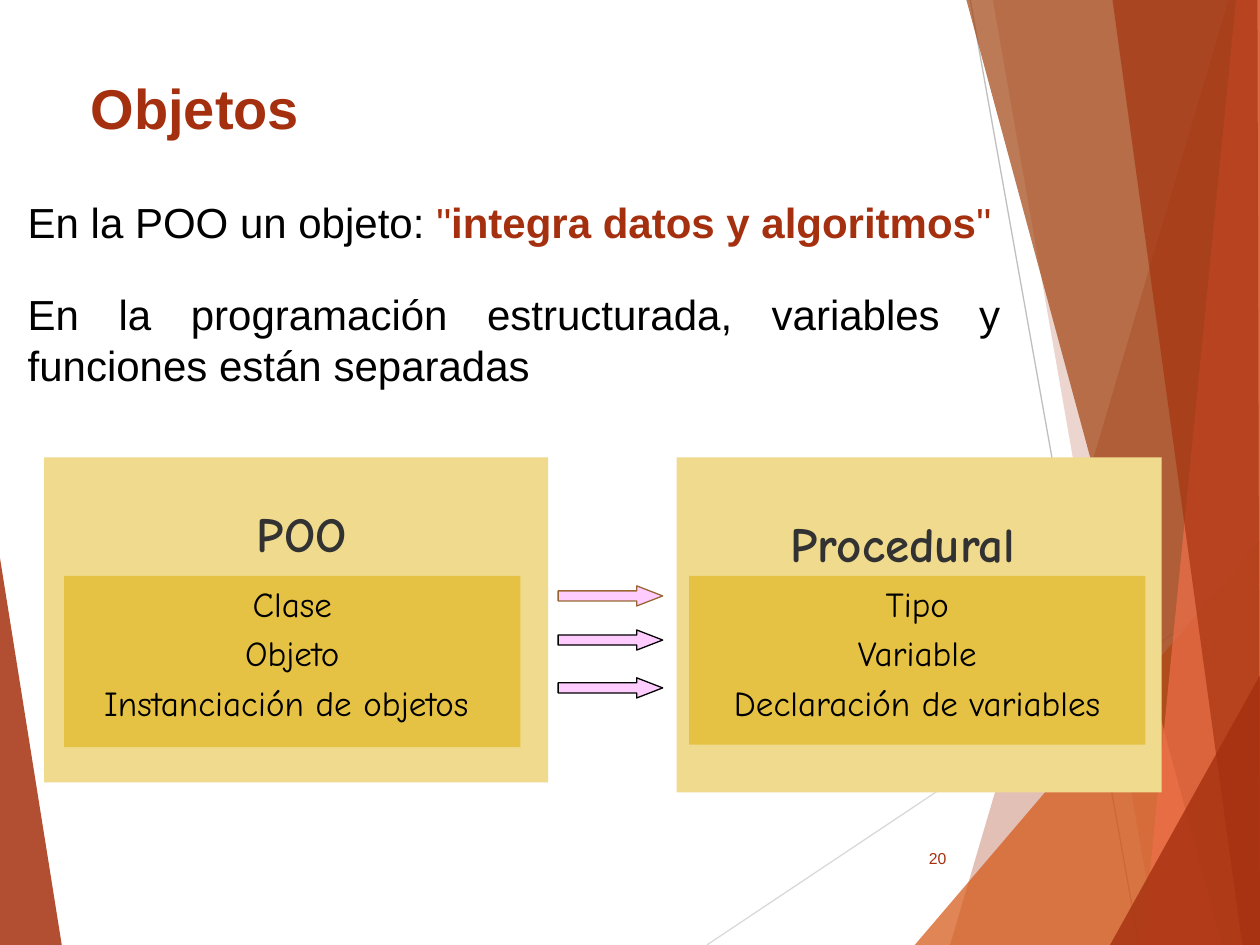
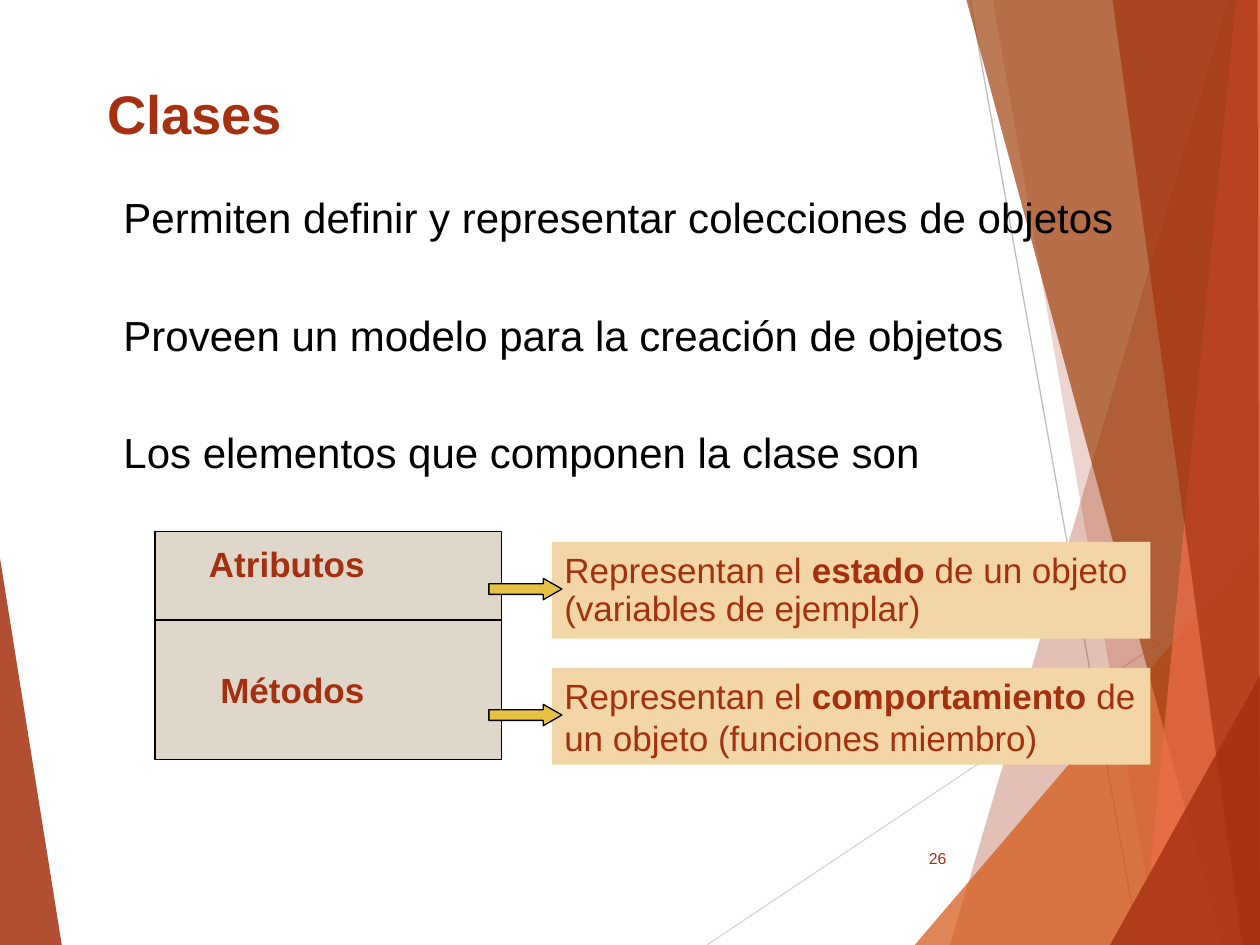
from lxml import etree
from pptx import Presentation
from pptx.dml.color import RGBColor
from pptx.enum.shapes import MSO_CONNECTOR, MSO_SHAPE
from pptx.enum.text import MSO_ANCHOR, MSO_AUTO_SIZE, PP_ALIGN
from pptx.oxml.ns import qn
from pptx.util import Inches, Pt

RECT, ARROW = MSO_SHAPE.RECTANGLE, MSO_SHAPE.RIGHT_ARROW
STRAIGHT = MSO_CONNECTOR.STRAIGHT
TOP, MIDDLE = MSO_ANCHOR.TOP, MSO_ANCHOR.MIDDLE
LEFT, CENTER, RIGHT, JUSTIFY = PP_ALIGN.LEFT, PP_ALIGN.CENTER, PP_ALIGN.RIGHT, PP_ALIGN.JUSTIFY
NO_FIT = MSO_AUTO_SIZE.NONE

COLORS = {
    "red": "A5300F", "orange": "D55816", "brown": "A04210", "coral": "EE6E4A",
    "light_gray": "D9D9D9", "gray": "BFBFBF", "black": "000000", "dark": "323232",
    "panel": "EFDA8E", "gold": "E5C243", "pink": "FFCCFF", "arrow_edge": "996633",
    "class_box": "E0D7CB", "note": "F3D6A8",
}
SANS, COMIC = "Arial", "Comic Neue"
LINE_FACTOR = 1.21

RAYS = [("light_gray", (5.61, 7.5), (10, 4.57)), ("gray", (7.7, 0), (9.04, 7.5))]
FACETS = [
    ("red", 85, [(0, 4.43), (0.49, 7.5), (0, 7.5)]),
    ("red", 30, [(9.75, 0), (7.54, 7.5), (10, 7.5), (10, 0)]),
    ("red", 20, [(7.88, 0), (9.19, 7.5), (10, 7.5), (10, 0)]),
    ("orange", 72, [(7.26, 7.5), (10, 4.29), (10, 7.5)]),
    ("brown", 70, [(7.67, 0), (9.7, 7.5), (10, 7.5), (10, 0)]),
    ("coral", 70, [(9.81, 0), (9.07, 7.5), (10, 7.5), (10, 0)]),
    ("red", 65, [(8.83, 0), (9.86, 7.5), (10, 7.5), (9.98, 0)]),
    ("red", 80, [(8.81, 7.5), (10, 5.36), (10, 7.5)]),
]


def rgb(name):
    return RGBColor.from_string(COLORS[name])


def place(shape, x, y, w, h):
    shape.left, shape.top, shape.width, shape.height = map(Inches, (x, y, w, h))


def write(shape, paragraphs, size=20, color="red", font=SANS, bold=False,
          align=LEFT, anchor=TOP, before=0):
    tf = shape.text_frame
    tf.word_wrap = True
    tf.auto_size = NO_FIT
    tf.vertical_anchor = anchor
    for i, runs in enumerate(paragraphs):
        p = tf.add_paragraph() if i else tf.paragraphs[0]
        pPr = p._p.get_or_add_pPr()
        pPr.set("marL", "0")
        pPr.set("indent", "0")
        etree.SubElement(pPr, qn("a:buNone"))
        p.alignment = align
        p.line_spacing = Pt(size * LINE_FACTOR)
        p.space_before = Pt(before if i else 0)
        for run in [runs] if isinstance(runs, str) else runs:
            text, run_color, run_bold = (run, color, bold) if isinstance(run, str) else run
            r = p.add_run()
            r.text = text
            r.font.name = font
            r.font.size = Pt(size)
            r.font.bold = run_bold
            r.font.color.rgb = rgb(run_color)
    return tf


def add_label(s, text, box, **fmt):
    tb = s.shapes.add_textbox(*map(Inches, box))
    write(tb, [text], **fmt)


def paint(shape, fill, line=None):
    shape.shadow.inherit = False
    shape.fill.solid()
    shape.fill.fore_color.rgb = rgb(fill)
    if line:
        shape.line.color.rgb = rgb(line)
        shape.line.width = Pt(0.75)
    else:
        shape.line.fill.background()


def add_box(s, box, fill, line=None):
    shape = s.shapes.add_shape(RECT, *map(Inches, box))
    paint(shape, fill, line)
    return shape


def add_arrow(s, box, head, fill, line):
    shape = s.shapes.add_shape(ARROW, *map(Inches, box))
    shape.adjustments[0] = 0.5
    shape.adjustments[1] = head
    paint(shape, fill, line)


def add_line(s, start, end, color):
    line = s.shapes.add_connector(STRAIGHT, *map(Inches, start + end))
    line.line.color.rgb = rgb(color)
    line.line.width = Pt(0.75)
    etree.SubElement(line._element.spPr, qn("a:effectLst"))
    return line


def add_facet(s, color, opacity, points):
    corners = [(Inches(x), Inches(y)) for x, y in points]
    builder = s.shapes.build_freeform(*corners[0])
    builder.add_line_segments(corners[1:], close=True)
    shape = builder.convert_to_shape()
    paint(shape, color)
    srgb = shape._element.spPr.find(".//" + qn("a:srgbClr"))
    etree.SubElement(srgb, qn("a:alpha"), val=str(opacity * 1000))
    return shape


def decorate_layout(layout, s):
    parts = [add_line(s, start, end, color) for color, start, end in RAYS]
    parts += [add_facet(s, *facet) for facet in FACETS]
    for number, part in enumerate(parts, 100):
        part._element.find(".//" + qn("p:cNvPr")).set("id", str(number))
        layout.shapes.element.append(part._element)


def add_content(s, title, title_at, title_size, number, body_box, paragraphs, before):
    place(s.shapes.title, *title_at, 8.75, 0.67)
    write(s.shapes.title, [title], size=title_size, bold=True)
    add_label(s, number, (7.05, 6.61, 0.56, 0.4), size=9, align=RIGHT, anchor=MIDDLE)
    body = s.placeholders[1]
    place(body, *body_box)
    write(body, paragraphs, size=24, color="black", align=JUSTIFY, before=before)


def add_panel(s, panel, list_box, heading, heading_at, items):
    add_box(s, panel, "panel")
    write(add_box(s, list_box, "gold"), items, color="black", font=COMIC,
          align=CENTER, before=4)
    add_label(s, heading, (*heading_at, 2.67, 0.57), size=28, color="dark",
              font=COMIC, bold=True, align=CENTER)


def build_objects(s):
    add_content(s, "Objetos", (0.62, 0.53), 32, "20", (0.12, 1.51, 7.92, 2.16), [
        ["En la POO un objeto: ", ('"', "red", False),
         ("integra datos y algoritmos", "red", True), ('"', "red", False)],
        "En la programación estructurada, variables y funciones están separadas",
    ], 23.5)
    add_panel(s, (5.37, 3.63, 3.85, 2.66), (5.47, 4.57, 3.62, 1.34),
              "Procedural", (5.83, 4.02), ["Tipo", "Variable", "Declaración de variables"])
    add_panel(s, (0.35, 3.63, 4, 2.58), (0.51, 4.57, 3.62, 1.36),
              "POO", (1.06, 3.94), ["Clase", "Objeto", "Instanciación de objetos "])
    for y, edge in [(4.65, "arrow_edge"), (5, "black"), (5.38, "black")]:
        add_arrow(s, (4.43, y, 0.83, 0.16), 1.29, "pink", edge)


def build_classes(s):
    add_content(s, "Clases", (0.75, 0.58), 31, "26", (0.88, 1.47, 8.5, 4.65), [
        "Permiten definir y representar colecciones de objetos",
        "Proveen un modelo para la creación de objetos",
        "Los elementos que componen la clase son",
    ], 38)
    add_box(s, (1.23, 4.22, 2.75, 1.81), "class_box", "black")
    add_line(s, (1.23, 4.92), (3.98, 4.92), "black")
    members = [
        ("Atributos", 1.56, 4.25,
         [["Representan el ", ("estado", "red", True), " de un objeto"],
          "(variables de ejemplar)"]),
        ("Métodos", 1.65, 5.25,
         [["Representan el ", ("comportamiento", "red", True),
           " de un objeto (funciones miembro)"]]),
    ]
    for name, x, y, meaning in members:
        add_label(s, name, (x, y, 2.08, 0.44), bold=True)
        tf = write(add_box(s, (4.38, y + 0.05, 4.75, 0.77), "note"), meaning)
        for p in tf.paragraphs[1:]:
            p.line_spacing = Pt(21.7)
        add_arrow(s, (3.88, y + 0.34, 0.58, 0.17), 0.875, "gold", "black")


def main():
    prs = Presentation()
    prs.slide_width, prs.slide_height = Inches(10), Inches(7.5)
    layout = prs.slide_layouts[1]
    objects, classes = [prs.slides.add_slide(layout) for _ in range(2)]
    decorate_layout(layout, objects)
    build_objects(objects)
    build_classes(classes)
    prs.save("out.pptx")


if __name__ == "__main__":
    main()
